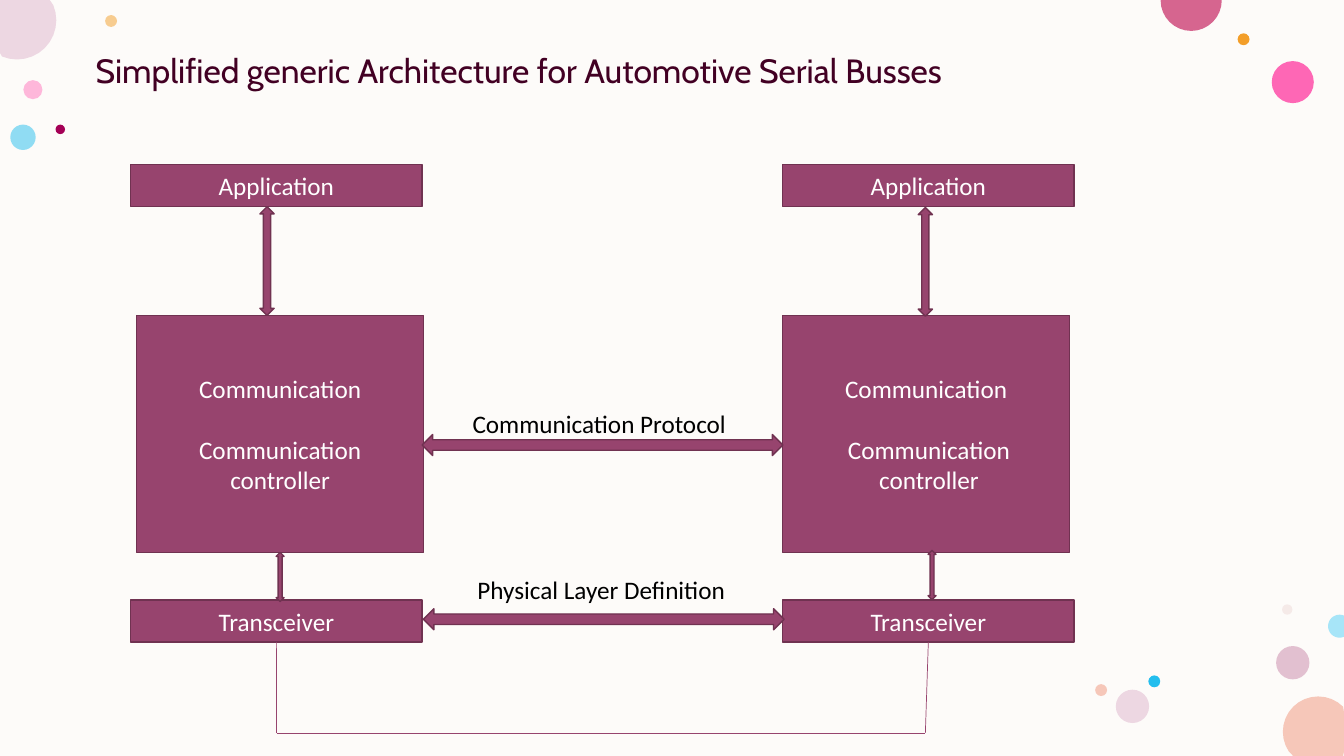
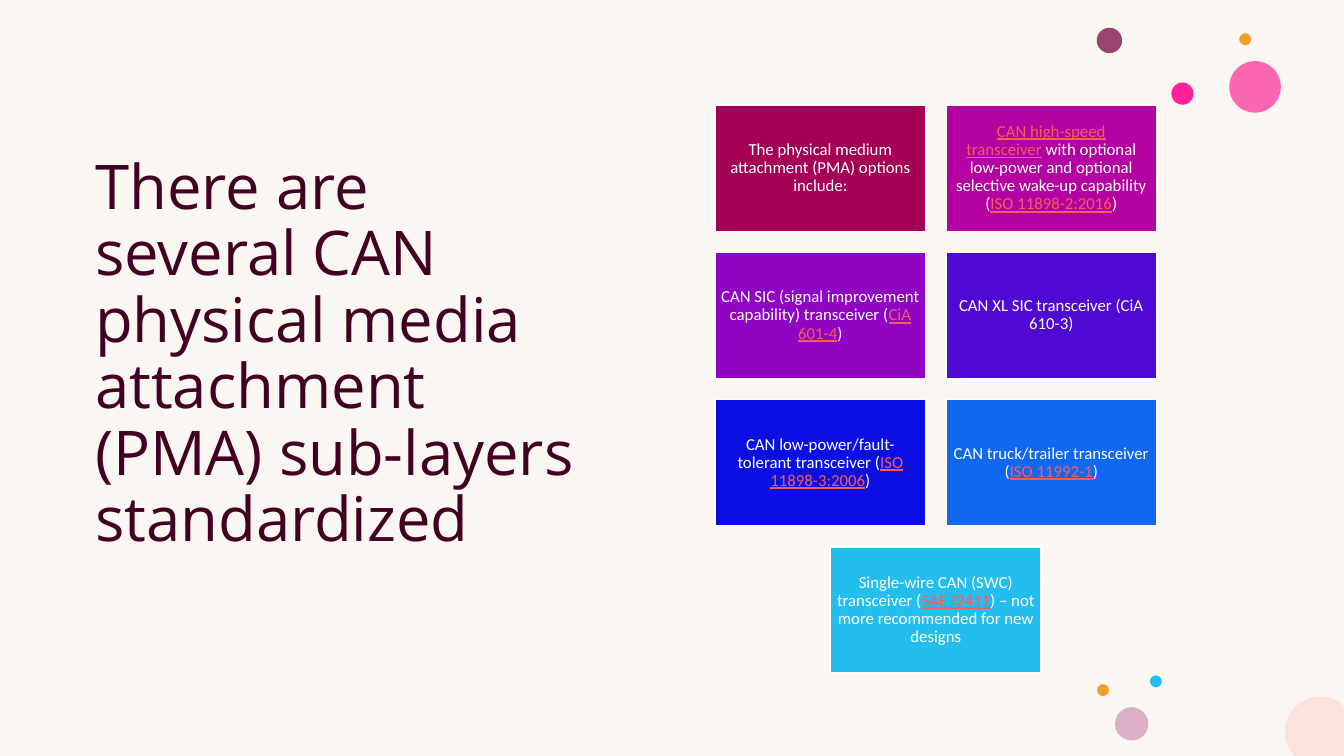
"""Build two slides on serial bus design and CAN sub-layers."""
from dataclasses import dataclass
from math import cos, pi, sin
from typing import Optional, Sequence

from lxml.etree import SubElement
from pptx import Presentation
from pptx.dml.color import RGBColor
from pptx.enum.shapes import MSO_CONNECTOR, MSO_SHAPE
from pptx.enum.text import MSO_ANCHOR, PP_ALIGN
from pptx.oxml.ns import qn
from pptx.util import Cm, Pt

WIDE, HIGH = 33.87, 19.05
WHITE = RGBColor(0xFF, 0xFF, 0xFF)
BLACK = RGBColor(0x00, 0x00, 0x00)
IVORY = RGBColor(0xFD, 0xFB, 0xF9)
SAND = RGBColor(0xF0, 0xE2, 0xD3)
WINE = RGBColor(0x42, 0x00, 0x23)
PLUM = RGBColor(0x97, 0x44, 0x6E)
EDGE = RGBColor(0x70, 0x32, 0x51)
CORAL = RGBColor(0xF5, 0x5D, 0x5D)
PINK = RGBColor(0xFF, 0x75, 0xBD)
HOT = RGBColor(0xFF, 0x2F, 0x9C)
NEON = RGBColor(0xFF, 0x21, 0x97)
ROSE = RGBColor(0xD6, 0x65, 0x8F)
MAUVE = RGBColor(0xC9, 0x87, 0xA8)
LILAC = RGBColor(0xDB, 0xAF, 0xC5)
PALE = RGBColor(0xED, 0xD7, 0xE2)
DUST = RGBColor(0xE3, 0xBE, 0xBE)
PEACH = RGBColor(0xF6, 0xC7, 0xB9)
BLUSH = RGBColor(0xFA, 0xE3, 0xDC)
AMBER = RGBColor(0xF3, 0x9E, 0x29)
SKY = RGBColor(0x24, 0xBE, 0xEE)
ICE = RGBColor(0xA7, 0xE5, 0xF8)
RUBY = RGBColor(0xA4, 0x00, 0x56)
BERRY = RGBColor(0xB4, 0x02, 0xA2)
GRAPE = RGBColor(0x90, 0x05, 0xC4)
INK = RGBColor(0x50, 0x08, 0xD3)
BLUE = RGBColor(0x0B, 0x0F, 0xE2)
AZURE = RGBColor(0x10, 0x67, 0xF0)


@dataclass(frozen=True)
class Area:
    """Hold a place and size in centimetres."""
    x: float
    y: float
    w: float
    h: float

    def lengths(self) -> tuple:
        """Give left, top, width and height as lengths."""
        return Cm(self.x), Cm(self.y), Cm(self.w), Cm(self.h)


@dataclass(frozen=True)
class Dot:
    """Hold the centre, radius and colour of a circle."""
    x: float
    y: float
    r: float
    fill: RGBColor
    alpha: int = 100


@dataclass(frozen=True)
class Card:
    """Hold a card's colour and text, with marked parts between bars."""
    fill: RGBColor
    text: str


BUS_DOTS = (
    Dot(0.83, 2.26, 0.24, PINK, 50),
    Dot(2.8, 0.53, 0.15, AMBER, 50),
    Dot(32.58, 16.7, 0.42, MAUVE, 50),
    Dot(0.58, 3.46, 0.32, SKY, 50),
    Dot(32.58, 2.07, 0.53, HOT, 72),
    Dot(31.34, 0.99, 0.15, AMBER),
    Dot(32.44, 15.36, 0.13, DUST, 28),
    Dot(29.09, 17.17, 0.15, SKY),
    Dot(28.54, 17.8, 0.42, PALE),
    Dot(27.75, 17.39, 0.15, PEACH),
    Dot(33.22, 18.44, 0.89, PEACH),
    Dot(0.43, 0.51, 0.99, PALE),
    Dot(30.02, 0.01, 0.77, ROSE),
    Dot(1.52, 3.26, 0.12, RUBY),
    Dot(33.76, 15.78, 0.29, ICE),
)
CAN_DOTS = (
    Dot(27.96, 1.02, 0.32, PLUM),
    Dot(31.63, 2.19, 0.65, HOT, 72),
    Dot(31.38, 0.99, 0.15, AMBER),
    Dot(29.8, 2.36, 0.28, NEON),
    Dot(29.13, 17.17, 0.15, SKY),
    Dot(28.52, 18.24, 0.42, LILAC),
    Dot(27.8, 17.39, 0.15, AMBER),
    Dot(33.27, 18.44, 0.89, BLUSH),
)
CARDS = (
    Card(RUBY, "The physical medium attachment (PMA) options include:"),
    Card(BERRY, "|CAN high-speed transceiver|\u00a0with optional low-power and optional "
                "selective wake-up capability (|ISO 11898-2:2016|)"),
    Card(GRAPE, "CAN SIC (signal improvement capability) transceiver (|CiA 601-4|)"),
    Card(INK, "CAN XL SIC transceiver (CiA 610-3)"),
    Card(BLUE, "CAN low-power/fault-tolerant transceiver (|ISO 11898-3:2006|)"),
    Card(AZURE, "CAN truck/trailer transceiver (|ISO 11992-1|)"),
    Card(SKY, "Single-wire CAN (SWC) transceiver (|SAE J2411|) – not more "
              "recommended for new designs"),
)


def write(shape, *lines: str, size: float = 18, font: str = "Calibri",
          ink: RGBColor = WHITE, align=PP_ALIGN.CENTER, anchor=MSO_ANCHOR.MIDDLE,
          pitch: float = 1.0, gap: float = 0, inset: Optional[float] = None) -> None:
    """Write lines in a shape, with a gap after the first."""
    frame = shape.text_frame
    frame.word_wrap = True
    frame.vertical_anchor = anchor
    if inset is not None:
        frame.margin_left = frame.margin_right = Cm(inset)
        frame.margin_top = frame.margin_bottom = Cm(inset)
    for row, line in enumerate(lines):
        para = frame.add_paragraph() if row else frame.paragraphs[0]
        para.alignment = align
        para.line_spacing = pitch
        if row == 1 and gap:
            para.space_before = Pt(gap)
        for turn, part in enumerate(line.split("|")):
            if not part:
                continue
            run = para.add_run()
            run.text = part
            run.font.size = Pt(size)
            run.font.name = font
            run.font.color.rgb = CORAL if turn % 2 else ink
            if turn % 2:
                run.font.underline = True


def paint(shape, fill: RGBColor, edge: Optional[RGBColor] = None, alpha: int = 100):
    """Set a shape's fill, line and opacity."""
    shape.shadow.inherit = False
    shape.fill.solid()
    shape.fill.fore_color.rgb = fill
    if edge is None:
        shape.line.fill.background()
    else:
        shape.line.color.rgb = edge
        shape.line.width = Pt(1)
    if alpha < 100:
        tint = shape.element.spPr.find(qn("a:solidFill")).find(qn("a:srgbClr"))
        SubElement(tint, qn("a:alpha")).set("val", str(alpha * 1000))
    return shape


def draw(slide, kind, area: Area, fill: RGBColor = PLUM,
         edge: Optional[RGBColor] = EDGE, alpha: int = 100):
    """Draw a preset shape."""
    return paint(slide.shapes.add_shape(kind, *area.lengths()), fill, edge, alpha)


def outline(dot: Dot) -> list:
    """Give the corners of a circle cut off at the slide's edge."""
    turns = [2 * pi * step / 32 for step in range(32)]
    points = list(dict.fromkeys(
        (Cm(min(max(dot.x + dot.r * cos(turn), 0), WIDE)),
         Cm(min(max(dot.y + dot.r * sin(turn), 0), HIGH))) for turn in turns))
    trios = zip(points[-1:] + points[:-1], points, points[1:] + points[:1])
    return [here for last, here, then in trios
            if (here[0] - last[0]) * (then[1] - here[1])
            != (here[1] - last[1]) * (then[0] - here[0])]


def spot(slide, dot: Dot) -> None:
    """Draw a circle, cut off at the slide's edge."""
    left, top, span = dot.x - dot.r, dot.y - dot.r, 2 * dot.r
    if left >= 0 and top >= 0 and left + span <= WIDE and top + span <= HIGH:
        draw(slide, MSO_SHAPE.OVAL, Area(left, top, span, span), dot.fill, None, dot.alpha)
        return
    first, *others = outline(dot)
    form = slide.shapes.build_freeform(*first)
    form.add_line_segments(others, close=True)
    paint(form.convert_to_shape(), dot.fill, alpha=dot.alpha)


def label(slide, area: Area, text: str, **style) -> None:
    """Add a text box that starts at the left."""
    write(slide.shapes.add_textbox(*area.lengths()), text, align=PP_ALIGN.LEFT, **style)


def start(deck, back: RGBColor, alpha: int, dots: Sequence[Dot], area: Area,
          title: str, size: float, font: str):
    """Add a slide with its ground, dots and title."""
    slide = deck.slides.add_slide(deck.slide_layouts[6])
    draw(slide, MSO_SHAPE.RECTANGLE, Area(0, 0, WIDE, HIGH), back, None, alpha)
    for dot in dots:
        spot(slide, dot)
    label(slide, area, title, ink=WINE, size=size, font=font, pitch=0.9)
    return slide


def wire(slide, x: float, y: float, end_x: float, end_y: float):
    """Draw a thin straight line."""
    line = slide.shapes.add_connector(MSO_CONNECTOR.STRAIGHT, Cm(x), Cm(y), Cm(end_x), Cm(end_y))
    line.line.color.rgb = PLUM
    line.line.width = Pt(0.5)
    SubElement(line.element.spPr, qn("a:effectLst"))
    return line


def add_bus(deck) -> None:
    """Build the slide on bus design."""
    slide = start(deck, IVORY, 100, BUS_DOTS, Area(2.16, 0.97, 29.6, 1.73),
                  "Simplified generic Architecture for Automotive Serial Busses", 24, "Cabin")
    sides = (
        (19.72, ("Communication", " Communication", " controller")),
        (3.44, ("Communication", "Communication controller")),
    )
    for x, lines in sides:
        write(draw(slide, MSO_SHAPE.RECTANGLE, Area(x, 7.95, 7.24, 5.97)), *lines, gap=22)
    ends = []
    for text, y in (("Application", 4.15), ("Transceiver", 15.12)):
        for x in (3.29, 19.72):
            box = draw(slide, MSO_SHAPE.RECTANGLE, Area(x, y, 7.35, 1.06))
            write(box, text)
            ends.append(box)
    for area in (Area(6.55, 5.21, 0.36, 2.74), Area(6.96, 13.92, 0.2, 1.24),
                 Area(23.39, 13.87, 0.2, 1.24), Area(23.14, 5.23, 0.36, 2.74)):
        draw(slide, MSO_SHAPE.UP_DOWN_ARROW, area)
    for area in (Area(10.67, 15.34, 9.09, 0.53), Area(10.64, 10.95, 9.09, 0.53)):
        draw(slide, MSO_SHAPE.LEFT_RIGHT_ARROW, area)
    for x, y, text in ((11.66, 10.17, "Communication Protocol"),
                       (11.78, 14.35, "Physical Layer Definition")):
        label(slide, Area(x, y, 7.6, 1.02), text, ink=BLACK, anchor=MSO_ANCHOR.TOP)
    left, right, base = 6.97, 23.32, 18.47
    wire(slide, left, 16.18, left, base).begin_connect(ends[2], 2)
    wire(slide, left, base, right, base)
    wire(slide, right, base, 23.4, 16.18).end_connect(ends[3], 2)


def add_can(deck) -> None:
    """Build the slide on CAN sub-layers."""
    slide = start(deck, SAND, 30, CAN_DOTS, Area(2.15, 2.64, 12.8, 12.65),
                  "There are several CAN physical media attachment (PMA) "
                  "sub-layers standardized", 44, "Open Sans")
    step_x, step_y = 5.82, 3.71
    for index, card in enumerate(CARDS):
        row, col = divmod(index, 2)
        shift = 0.5 if index == len(CARDS) - 1 else col
        area = Area(18.02 + shift * step_x, 2.65 + row * step_y, 5.31, 3.18)
        box = draw(slide, MSO_SHAPE.RECTANGLE, area, card.fill, WHITE)
        write(box, card.text, size=12, pitch=0.9, inset=0.12)


def main() -> None:
    """Build and save the deck."""
    deck = Presentation()
    deck.slide_width, deck.slide_height = Cm(WIDE), Cm(HIGH)
    add_bus(deck)
    add_can(deck)
    deck.save("out.pptx")


if __name__ == "__main__":
    main()
